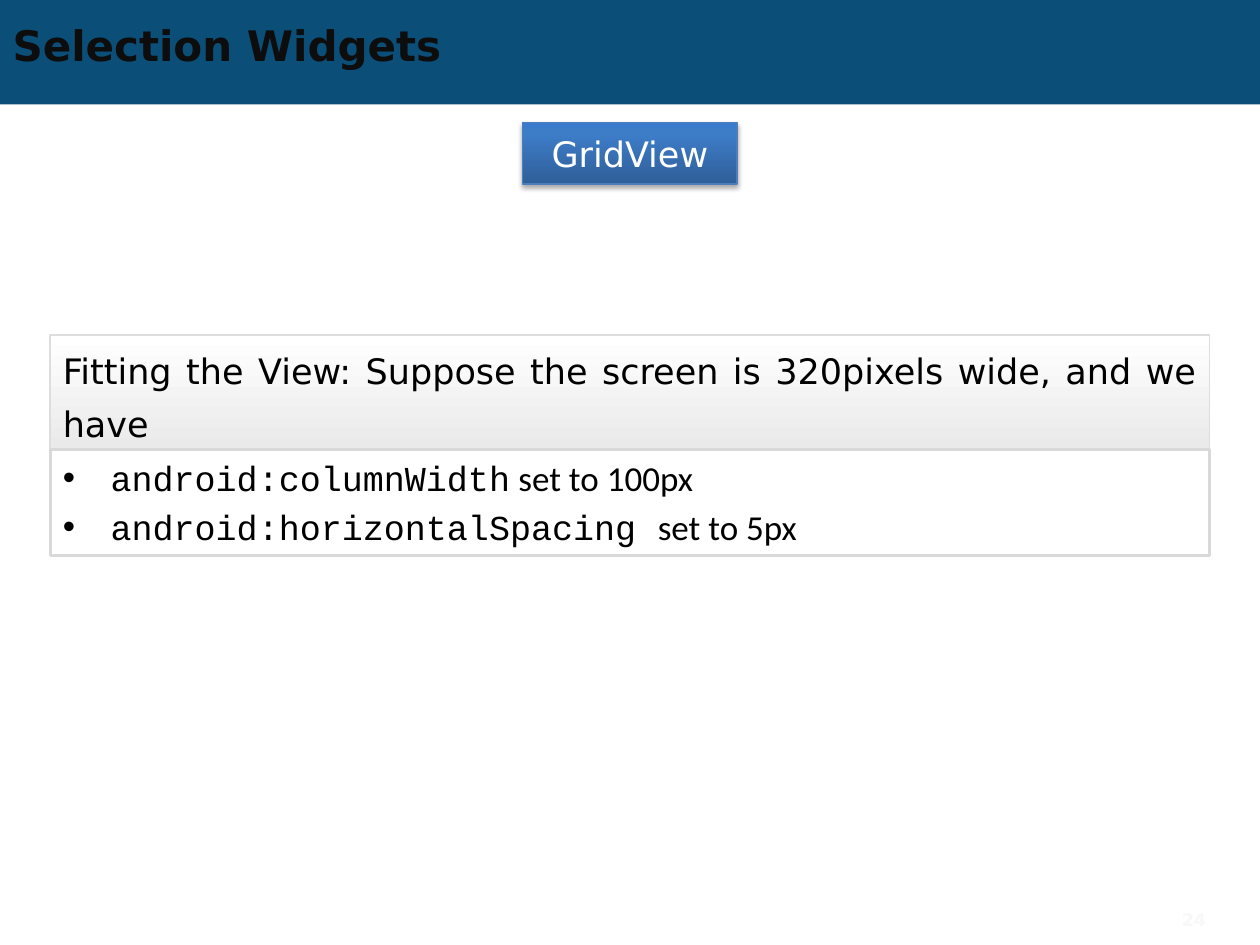
from lxml import etree
from pptx import Presentation
from pptx.dml.color import RGBColor
from pptx.enum.shapes import MSO_SHAPE as Shape
from pptx.enum.text import MSO_ANCHOR as Anchor, PP_ALIGN as Align
from pptx.oxml import parse_xml
from pptx.oxml.ns import nsdecls, qn
from pptx.util import Inches, Pt

NAVY = RGBColor(0x0B, 0x4E, 0x78)
BLUE_EDGE = RGBColor(0x4B, 0x7E, 0xBC)
BLUE_DARK = RGBColor(0x2F, 0x5F, 0x99)
BLUE_MID = RGBColor(0x3D, 0x7C, 0xC7)
BLUE_LIGHT = RGBColor(0x3A, 0x7C, 0xCB)
GRAY_FILL = RGBColor(0xEA, 0xEA, 0xEA)
GRAY_EDGE = RGBColor(0xDD, 0xDD, 0xDD)
GRAY_FRAME = RGBColor(0xD9, 0xD9, 0xD9)
FAINT = RGBColor(0xF8, 0xF8, 0xF8)
INK = RGBColor(0x0D, 0x0D, 0x0D)
BLACK = RGBColor(0, 0, 0)
WHITE = RGBColor(0xFF, 0xFF, 0xFF)

SANS, CODE, BODY = "DejaVu Sans", "Courier New", "Calibri"
SETTINGS = [
    ("android:columnWidth", " set to 100px"),
    ("android:horizontalSpacing ", "set to 5px"),
]


def style_font(font, name, size, color, bold=False):
    font.name, font.size, font.bold = name, Pt(size), bold
    font.color.rgb = color


def add_box(slide, box, edge=None, width=1):
    shape = slide.shapes.add_shape(Shape.RECTANGLE, *map(Inches, box))
    shape.shadow.inherit = False
    shape.fill.background()
    if edge is None:
        shape.line.fill.background()
    else:
        shape.line.color.rgb = edge
        shape.line.width = Pt(width)
    return shape


def fill_gradient(shape, stops, upward=False):
    shape.fill.gradient()
    shape.fill.gradient_angle = 90 if upward else 270
    stop_list = shape._element.spPr.find(qn("a:gradFill")).find(qn("a:gsLst"))
    for old in list(stop_list):
        stop_list.remove(old)
    for percent, color in stops:
        stop = etree.SubElement(stop_list, qn("a:gs"), pos=str(percent * 1000))
        etree.SubElement(stop, qn("a:srgbClr"), val=str(color))


def add_soft_shadow(shape):
    effects = shape._element.spPr.find(qn("a:effectLst"))
    effects.append(parse_xml(
        f'<a:outerShdw {nsdecls("a")} blurRad="{Pt(3.1)}" dist="{Pt(1.8)}" '
        'dir="5400000" rotWithShape="0"><a:srgbClr val="000000">'
        '<a:alpha val="35000"/></a:srgbClr></a:outerShdw>'))


def add_header(slide, box):
    band = add_box(slide, box)
    band.fill.solid()
    band.fill.fore_color.rgb = NAVY
    slide.shapes._spTree.insert(2, band._element)
    left, top, width, _ = box
    title = slide.shapes.title
    title.left, title.top = Inches(left), Inches(top + 0.14)
    title.width, title.height = Inches(width - 1), Inches(0.43)
    frame = title.text_frame
    frame.text = "Selection Widgets"
    frame.vertical_anchor = Anchor.MIDDLE
    heading = frame.paragraphs[0]
    heading.alignment = Align.LEFT
    style_font(heading.runs[0].font, SANS, 24, INK, bold=True)


def add_widget_label(slide, box):
    label = add_box(slide, box, BLUE_EDGE, 0.75)
    fill_gradient(label, [(0, BLUE_DARK), (80, BLUE_MID), (100, BLUE_LIGHT)], upward=True)
    add_soft_shadow(label)
    label.text_frame.text = "GridView"
    name = label.text_frame.paragraphs[0]
    name.alignment = Align.CENTER
    style_font(name.runs[0].font, SANS, 20, WHITE)


def add_premise(slide, box):
    premise = add_box(slide, box, GRAY_EDGE)
    fill_gradient(premise, [(0, WHITE), (100, GRAY_FILL)])
    premise.text_frame.text = (
        "Fitting the View: Suppose the screen is 320pixels wide, and we have")
    sentence = premise.text_frame.paragraphs[0]
    sentence.alignment = Align.JUSTIFY
    sentence.line_spacing = Pt(30)
    style_font(sentence.runs[0].font, SANS, 20, BLACK)


def add_settings(slide, box):
    frame = add_box(slide, box, GRAY_FRAME, 1.5).text_frame
    frame.vertical_anchor = Anchor.TOP
    for index, (attribute, value) in enumerate(SETTINGS):
        setting = frame.add_paragraph() if index else frame.paragraphs[0]
        setting.alignment = Align.LEFT
        if index:
            setting.space_before = Pt(4)
        props = setting._p.get_or_add_pPr()
        props.set("marL", str(Inches(0.38)))
        props.set("indent", str(-Inches(0.38)))
        etree.SubElement(props, qn("a:buFont"), typeface="Arial")
        etree.SubElement(props, qn("a:buChar"), char="•")
        for text, font_name in ((attribute, CODE), (value, BODY)):
            run = setting.add_run()
            run.text = text
            style_font(run.font, font_name, 20, BLACK)


def add_page_number(slide, box):
    frame = slide.shapes.add_textbox(*map(Inches, box)).text_frame
    frame.word_wrap = True
    frame.vertical_anchor = Anchor.MIDDLE
    frame.text = "24"
    number = frame.paragraphs[0]
    number.alignment = Align.RIGHT
    style_font(number.runs[0].font, SANS, 10, FAINT, bold=True)


def main():
    deck = Presentation()
    deck.slide_width, deck.slide_height = Inches(10), Inches(7.5)
    slide = deck.slides.add_slide(deck.slide_layouts[5])
    add_header(slide, (0, 0, 10, 0.83))
    add_widget_label(slide, (4.15, 0.97, 1.7, 0.49))
    add_premise(slide, (0.4, 2.66, 9.2, 0.9))
    add_settings(slide, (0.4, 3.57, 9.2, 0.84))
    add_page_number(slide, (8.67, 7.15, 1, 0.3))
    deck.save("out.pptx")


if __name__ == "__main__":
    main()
